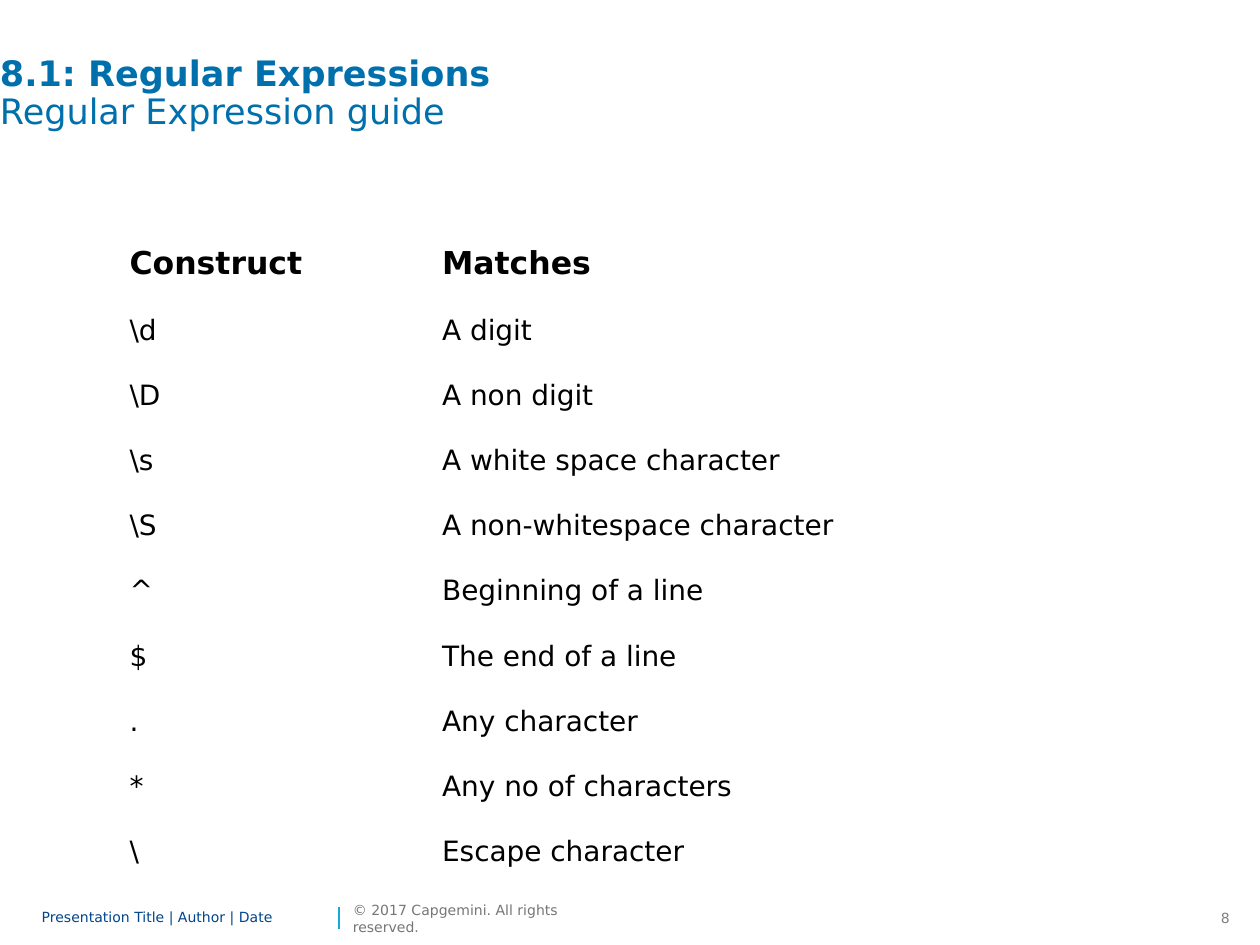
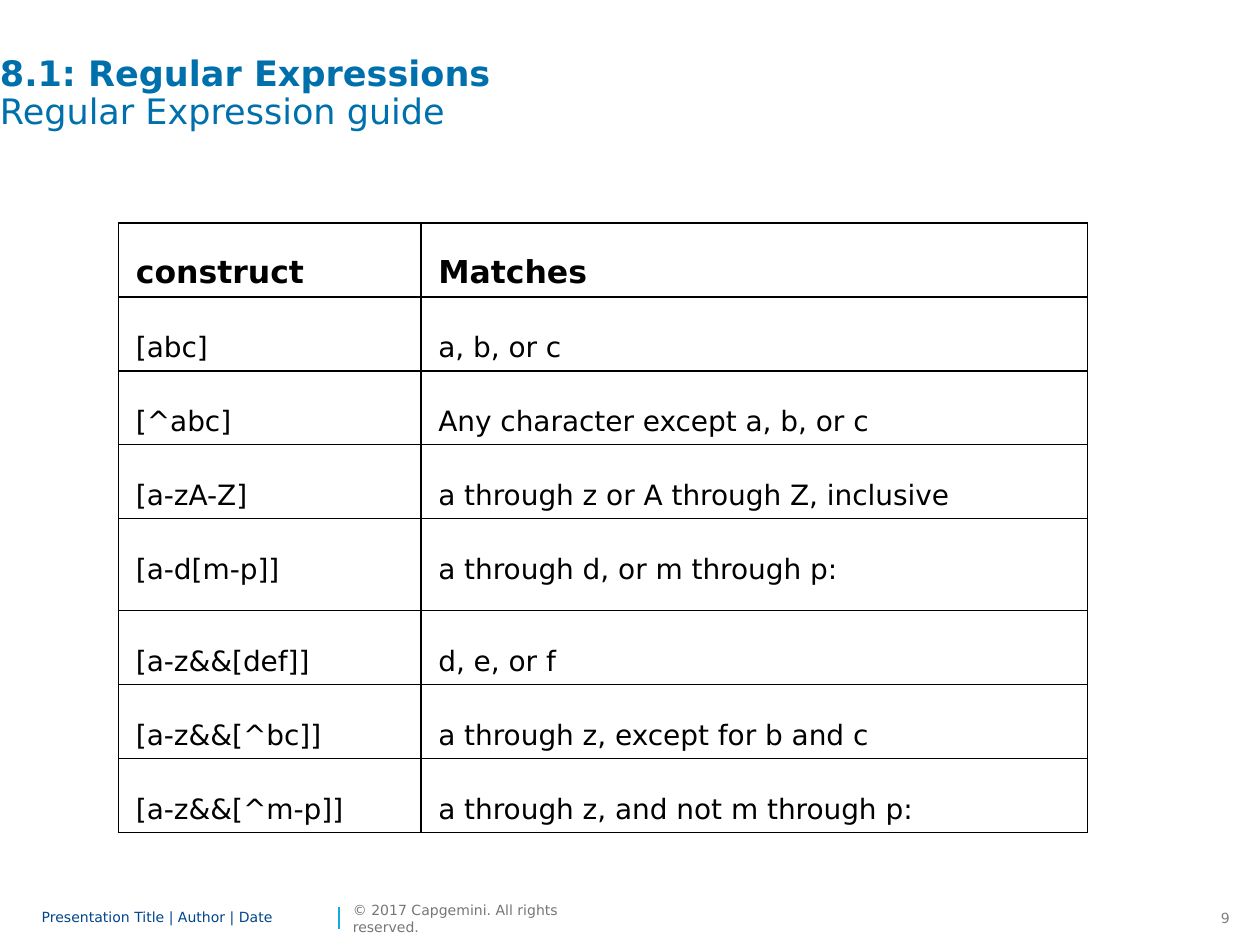
from dataclasses import dataclass

from lxml import etree
from pptx import Presentation
from pptx.dml.color import RGBColor
from pptx.enum.shapes import MSO_CONNECTOR
from pptx.enum.text import MSO_ANCHOR, MSO_AUTO_SIZE, PP_ALIGN
from pptx.oxml import parse_xml
from pptx.oxml.ns import nsdecls, qn
from pptx.util import Pt

# Content
TITLE = ("8.1: Regular Expressions", "Regular Expression guide")
FOOTER = "Presentation Title | Author | Date"
COPYRIGHT = "© 2017 Capgemini. All rights reserved."

GUIDES = [
    {
        "number": 8,
        "left": 62.6,
        "columns": (178.6, 426.2),
        "line_height": 30,
        "inset": 11.5,
        "grid": False,
        "taller_rows": {},
        "rows": [
            ("Construct", "Matches"),
            (r"\d", "A digit"),
            (r"\D", "A non digit"),
            (r"\s", "A white space character"),
            (r"\S", "A non-whitespace character"),
            ("^", "Beginning of a line"),
            ("$", "The end of a line"),
            (".", "Any character"),
            ("*", "Any no of characters"),
            ("\\", "Escape character"),
        ],
    },
    {
        "number": 9,
        "left": 67.7,
        "columns": (172.8, 380.9),
        "line_height": 35,
        "inset": 10,
        "grid": True,
        "taller_rows": {4: 52.6},
        "rows": [
            ("construct", "Matches"),
            ("[abc]", "a, b, or c"),
            ("[^abc]", "Any character except a, b, or c"),
            ("[a-zA-Z]", "a through z or A through Z, inclusive"),
            ("[a-d[m-p]]", "a through d, or m through p:"),
            ("[a-z&&[def]]", "d, e, or f"),
            ("[a-z&&[^bc]]", "a through z, except for b and c"),
            ("[a-z&&[^m-p]]", "a through z, and not m through p:"),
        ],
    },
]


@dataclass(frozen=True)
class Theme:
    font: str = "DejaVu Sans"
    title: str = "0070AD"
    footer: str = "00458D"
    copyright: str = "767676"
    number: str = "808080"
    accent: str = "12ABDB"
    text: str = "000000"
    paper: str = "FFFFFF"
    title_size: int = 20
    head_size: int = 18
    body_size: int = 16
    small_size: int = 8


THEME = Theme()
TABLE_TOP = 127.4
CELL_PADDING = 3.6
FOOTER_TOP, FOOTER_HEIGHT = 516.2, 17.3
PLAIN_TABLE_STYLE = "{2D5ABB26-0587-4C30-8999-92F81FD0307C}"
FLUSH = dict.fromkeys(
    ("margin_left", "margin_top", "margin_right", "margin_bottom"), 0)


def apply(target, formats):
    for name, value in formats.items():
        setattr(target, name, value)


def add_span(para, text, size, color, bold=False):
    span = para.add_run()
    span.text = text
    apply(span.font, {"name": THEME.font, "size": Pt(size), "bold": bold})
    span.font.color.rgb = RGBColor.from_string(color)


def add_box(page, left, top, width, height, **formats):
    """Add a text box and return its first paragraph."""
    box = page.shapes.add_textbox(Pt(left), Pt(top), Pt(width), Pt(height))
    apply(box.text_frame, {"word_wrap": True, **formats})
    return box.text_frame.paragraphs[0]


def add_title(page):
    para = add_box(page, 0, 32.4, 671.8, 67.7, **FLUSH)
    para.line_spacing = 0.9
    heading, subject = TITLE
    add_span(para, heading, THEME.title_size, THEME.title, bold=True)
    para.add_line_break()
    add_span(para, subject, THEME.title_size, THEME.title)


def add_footer(page, number):
    # Page number
    para = add_box(page, 681.8, FOOTER_TOP, 28.1, FOOTER_HEIGHT,
                   word_wrap=False, auto_size=MSO_AUTO_SIZE.SHAPE_TO_FIT_TEXT)
    para.alignment = PP_ALIGN.RIGHT
    add_span(para, str(number), THEME.small_size, THEME.number)

    # Divider
    divider = page.shapes.add_connector(
        MSO_CONNECTOR.STRAIGHT, Pt(193.7), Pt(530.6), Pt(193.7), Pt(518.4))
    divider.line.width = Pt(1)
    divider.line.color.rgb = RGBColor.from_string(THEME.accent)
    etree.SubElement(divider._element.spPr, qn("a:effectLst"))

    # Footer and copyright lines
    middle = {**FLUSH, "vertical_anchor": MSO_ANCHOR.MIDDLE}
    para = add_box(page, 23.8, FOOTER_TOP, 167, FOOTER_HEIGHT, **middle)
    para.line_spacing = 0.85
    add_span(para, FOOTER, THEME.small_size, THEME.footer)
    para = add_box(page, 201.6, FOOTER_TOP, 131, FOOTER_HEIGHT,
                   **middle, word_wrap=False)
    add_span(para, COPYRIGHT, THEME.small_size, THEME.copyright)


def add_borders(cell):
    properties = cell._tc.get_or_add_tcPr()
    for index, side in enumerate(("lnL", "lnR", "lnT", "lnB")):
        properties.insert(index, parse_xml(
            f'<a:{side} {nsdecls("a")} w="{Pt(1)}"><a:solidFill>'
            f'<a:srgbClr val="{THEME.text}"/></a:solidFill></a:{side}>'))


def fill_cell(cell, text, is_head, guide):
    apply(cell, {
        "margin_left": Pt(guide["inset"]), "margin_right": Pt(guide["inset"]),
        "margin_top": Pt(CELL_PADDING), "margin_bottom": Pt(CELL_PADDING),
    })
    para = cell.text_frame.paragraphs[0]
    para.line_spacing = Pt(guide["line_height"])
    size = THEME.head_size if is_head else THEME.body_size
    add_span(para, text, size, THEME.text, bold=is_head)
    if guide["grid"]:
        cell.fill.solid()
        cell.fill.fore_color.rgb = RGBColor.from_string(THEME.paper)
        add_borders(cell)
    else:
        cell.fill.background()


def add_guide_table(page, guide):
    rows, columns = guide["rows"], guide["columns"]
    row_height = guide["line_height"] + 2 * CELL_PADDING
    heights = [guide["taller_rows"].get(index, row_height)
               for index in range(len(rows))]
    table = page.shapes.add_table(
        len(rows), len(columns), Pt(guide["left"]), Pt(TABLE_TOP),
        Pt(sum(columns)), Pt(sum(heights))).table
    apply(table, {"first_row": False, "horz_banding": False})
    table._tbl.tblPr.find(qn("a:tableStyleId")).text = PLAIN_TABLE_STYLE
    for column, width in zip(table.columns, columns):
        column.width = Pt(width)
    for index, (row, height) in enumerate(zip(table.rows, heights)):
        row.height = Pt(height)
        for cell, text in zip(row.cells, rows[index]):
            fill_cell(cell, text, index == 0, guide)


def main():
    deck = Presentation()
    apply(deck, {"slide_width": Pt(720), "slide_height": Pt(540)})
    for guide in GUIDES:
        page = deck.slides.add_slide(deck.slide_layouts[6])
        add_footer(page, guide["number"])
        add_title(page)
        add_guide_table(page, guide)
    deck.save("out.pptx")


if __name__ == "__main__":
    main()
